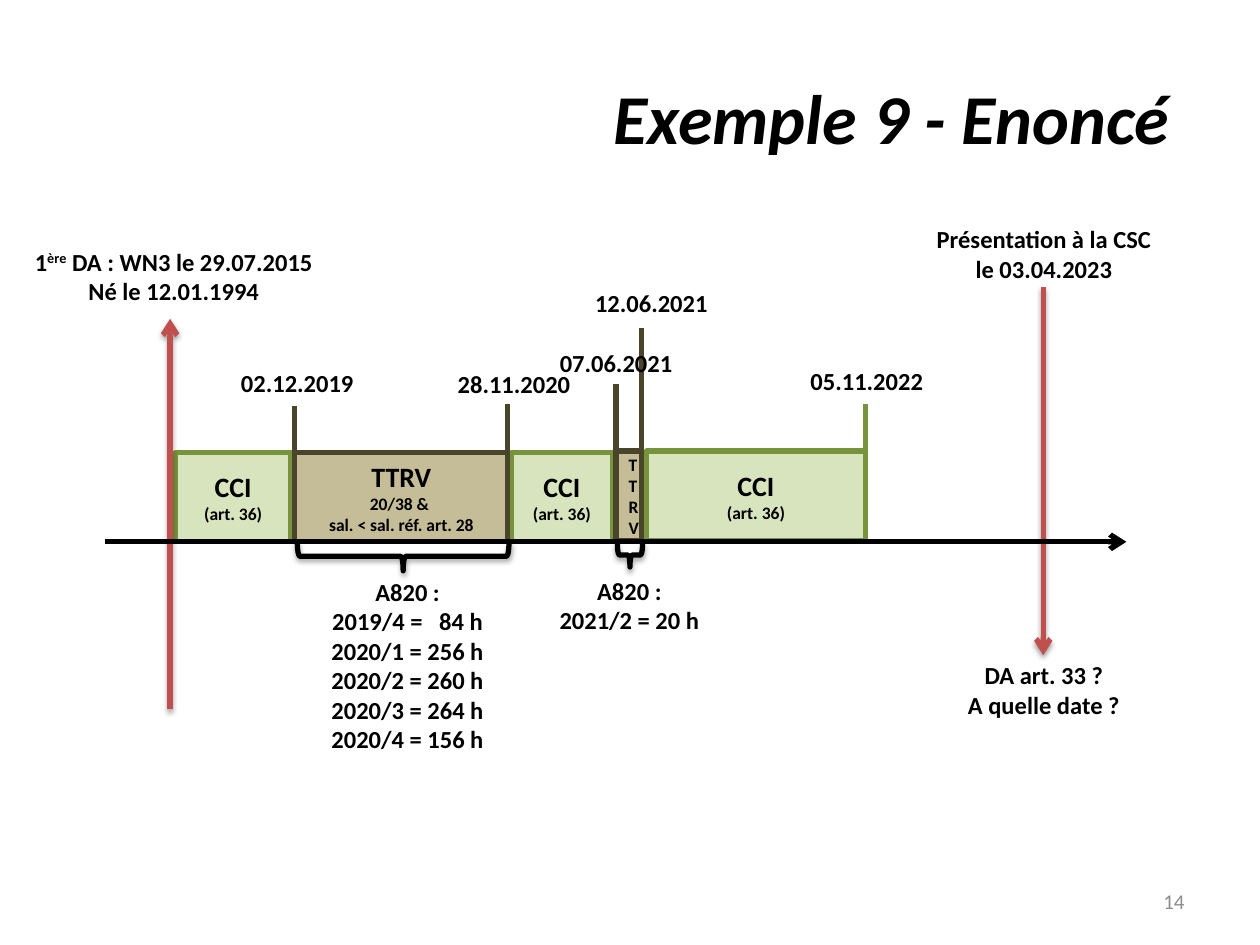
from lxml import etree
from pptx import Presentation
from pptx.dml.color import RGBColor
from pptx.enum.shapes import MSO_CONNECTOR, MSO_SHAPE
from pptx.enum.text import MSO_ANCHOR, PP_ALIGN
from pptx.oxml.ns import qn
from pptx.util import Inches, Pt

FONT = "Calibri"
BLACK, GREY, RED = "000000", "8C8C8C", "C0504D"
GREEN, LIGHT_GREEN = "77933C", "D7E4BD"
BROWN, TAN = "4A452A", "C4BD97"
AXIS_Y = 4.3
BLOCK_HEIGHT = 0.71


def color(hex_value):
    return RGBColor.from_string(hex_value)


def style_line(line, hex_value):
    line.color.rgb = color(hex_value)
    line.width = Pt(3)


def set_effects(shape, alpha=None, distance=0):
    """Leave the effect list empty, or give it a soft shadow falling straight down."""
    properties = shape._element.spPr
    effects = properties.find(qn("a:effectLst"))
    if effects is None:
        effects = etree.SubElement(properties, qn("a:effectLst"))
    if alpha:
        shadow = etree.SubElement(effects, qn("a:outerShdw"), blurRad=str(Pt(3.1)),
                                  dist=str(Pt(distance)), dir="5400000", rotWithShape="0")
        tint = etree.SubElement(shadow, qn("a:srgbClr"), val=BLACK)
        etree.SubElement(tint, qn("a:alpha"), val=str(alpha * 1000))


def write(frame, lines, sizes, align=PP_ALIGN.CENTER, anchor=MSO_ANCHOR.TOP,
          hex_value=BLACK, bold=True, italic=False):
    """Write one paragraph per line; the last size serves all further lines."""
    frame.word_wrap = True
    frame.vertical_anchor = anchor
    frame.text = "\n".join(lines)
    for index, para in enumerate(frame.paragraphs):
        para.alignment = align
        for span in para.runs:
            font = span.font
            font.name = FONT
            font.size = Pt(sizes[min(index, len(sizes) - 1)])
            font.bold, font.italic = bold, italic
            font.color.rgb = color(hex_value)


def add_text(page, left, top, width, height, lines, size=14, **style):
    box = page.shapes.add_textbox(Inches(left), Inches(top), Inches(width), Inches(height))
    write(box.text_frame, lines, [size], **style)
    return box


def add_block(page, left, top, width, lines, fill, outline, sizes):
    block = page.shapes.add_shape(MSO_SHAPE.RECTANGLE, Inches(left), Inches(top),
                                  Inches(width), Inches(BLOCK_HEIGHT))
    block.shadow.inherit = False
    block.fill.solid()
    block.fill.fore_color.rgb = color(fill)
    style_line(block.line, outline)
    write(block.text_frame, lines, sizes, anchor=MSO_ANCHOR.MIDDLE)


def add_line(page, x1, y1, x2, y2, hex_value, arrow=False, shadow=False):
    line = page.shapes.add_connector(MSO_CONNECTOR.STRAIGHT, Inches(x1), Inches(y1),
                                     Inches(x2), Inches(y2))
    style_line(line.line, hex_value)
    if arrow:
        etree.SubElement(line.line._get_or_add_ln(), qn("a:tailEnd"), type="arrow")
    set_effects(line, 38 if shadow else None, 1.6)


def add_brace(page, left, top, width, height):
    """Add a brace that opens upwards; width and height are as seen on the page."""
    center_x, center_y = left + width / 2, top + height / 2
    brace = page.shapes.add_shape(MSO_SHAPE.LEFT_BRACE, Inches(center_x - height / 2),
                                  Inches(center_y - width / 2), Inches(height), Inches(width))
    brace.rotation = 270
    brace.shadow.inherit = False
    brace.fill.background()
    style_line(brace.line, BLACK)
    set_effects(brace, 35, 1.8)


def add_first_request(page):
    box = add_text(page, 0, 1.91, 2.76, 0.57,
                   ["1 DA : WN3 le 29.07.2015", "Né le 12.01.1994"])
    # Split the first run to raise the ordinal ending
    para = box.text_frame.paragraphs[0]
    para.text = ""
    for text, raised in (("1", False), ("ère", True), (" DA : WN3 le 29.07.2015", False)):
        span = para.add_run()
        span.text = text
        span.font.name, span.font.size, span.font.bold = FONT, Pt(14), True
        span.font.color.rgb = color(BLACK)
        if raised:
            span.font._element.set("baseline", "30000")


def main():
    deck = Presentation()
    deck.slide_width, deck.slide_height = Inches(10), Inches(7.5)
    page = deck.slides.add_slide(deck.slide_layouts[6])

    # Title and page number
    add_text(page, 0.5, 0.3, 9, 1.25, ["Exemple 9 - Enoncé "], 40,
             align=PP_ALIGN.RIGHT, anchor=MSO_ANCHOR.MIDDLE, italic=True)
    add_text(page, 7.17, 6.95, 2.33, 0.4, ["14"], 12, align=PP_ALIGN.RIGHT,
             anchor=MSO_ANCHOR.MIDDLE, hex_value=GREY, bold=False)

    # Periods
    for left, top, width in ((1.39, 3.59, 0.92), (4.06, 3.59, 0.8), (5.13, 3.58, 1.74)):
        add_block(page, left, top, width, ["CCI", "(art. 36)"], LIGHT_GREEN, GREEN, [16, 10])
    add_block(page, 2.34, 3.59, 1.69, ["TTRV", "20/38 & ", "sal. < sal. réf. art. 28"],
              TAN, BROWN, [16, 10])
    add_block(page, 4.89, 3.58, 0.2, ["TTRV"], TAN, BROWN, [10])

    # Date marks
    for x, top, hex_value in ((2.34, 3.22, BROWN), (4.03, 3.21, BROWN), (4.89, 3.05, BROWN),
                              (5.09, 2.6, BROWN), (6.87, 3.21, GREEN)):
        add_line(page, x, top, x, AXIS_Y, hex_value)

    # Events, braces and time axis
    add_line(page, 1.35, 5.63, 1.35, 2.53, RED, arrow=True, shadow=True)
    add_line(page, 8.28, 2.28, 8.28, 5.2, RED, arrow=True, shadow=True)
    add_brace(page, 2.36, 4.3, 1.68, 0.23)
    add_brace(page, 4.9, 4.31, 0.2, 0.19)
    add_line(page, 0.83, AXIS_Y, 8.94, AXIS_Y, BLACK, arrow=True)

    # Date labels
    for left, top, width, date in ((1.73, 2.87, 1.26, "02.12.2019"),
                                   (3.53, 2.88, 1.1, "28.11.2020"),
                                   (4.34, 2.71, 1.1, "07.06.2021"),
                                   (4.62, 2.24, 1.1, "12.06.2021"),
                                   (6.25, 2.86, 1.26, "05.11.2022")):
        add_text(page, left, top, width, 0.34, [date])

    # Event notes and hours worked
    add_first_request(page)
    add_text(page, 7.26, 1.73, 2.05, 0.57, ["Présentation à la CSC", "le 03.04.2023"])
    add_text(page, 7.47, 5.19, 1.63, 0.57, ["DA art. 33 ?", "A quelle date ?"])
    add_text(page, 2.16, 4.53, 2.15, 1.51,
             ["A820 :", "2019/4 =   84 h", "2020/1 = 256 h", "2020/2 = 260 h",
              "2020/3 = 264 h", "2020/4 = 156 h"])
    add_text(page, 3.92, 4.52, 2.15, 0.57, ["A820 :", "2021/2 = 20 h"])

    deck.save("out.pptx")


if __name__ == "__main__":
    main()
